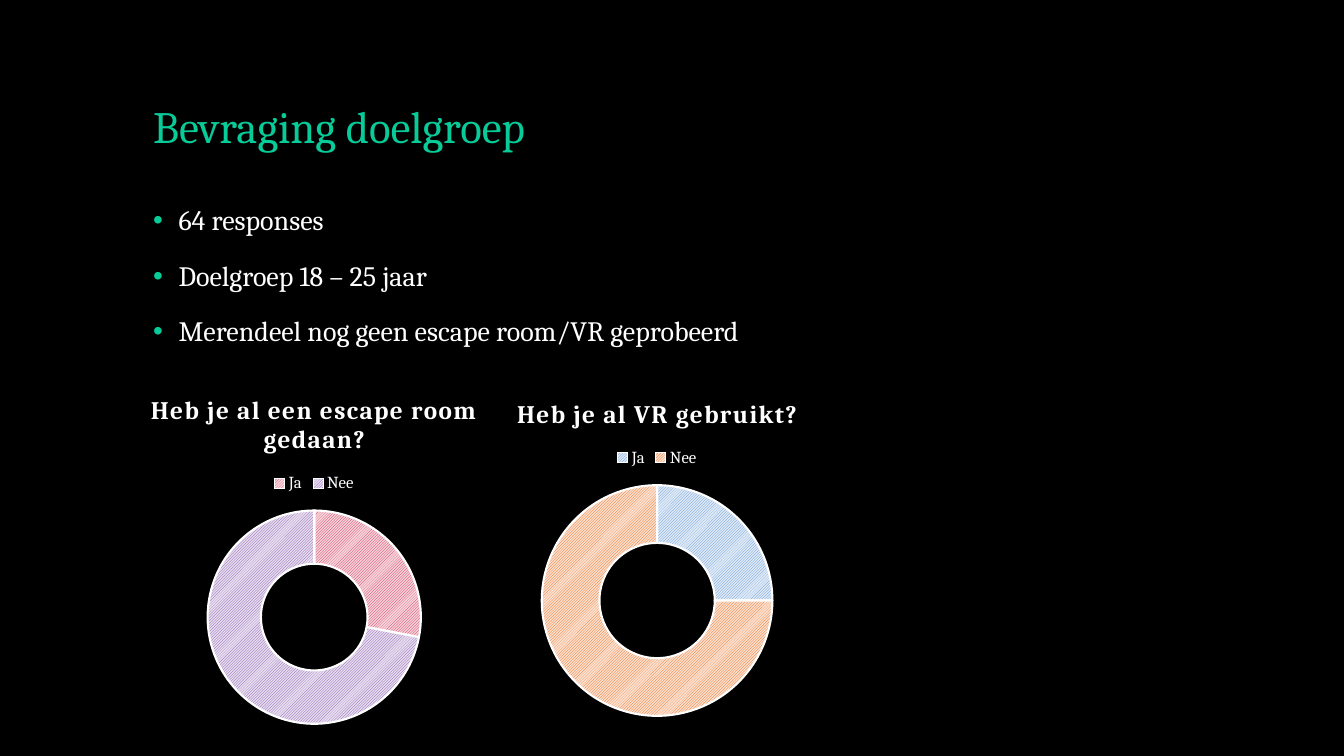
from dataclasses import dataclass

from lxml.etree import SubElement
from pptx import Presentation
from pptx.chart.data import CategoryChartData
from pptx.dml.color import RGBColor
from pptx.enum.chart import XL_CHART_TYPE, XL_LEGEND_POSITION
from pptx.enum.dml import MSO_PATTERN
from pptx.enum.text import MSO_ANCHOR
from pptx.oxml.ns import qn
from pptx.slide import Slide
from pptx.text.text import Font, TextFrame
from pptx.util import Cm, Pt


@dataclass(frozen=True)
class Theme:
    font: str = "Cambria"
    background: str = "000000"
    accent: str = "07CB98"
    text: str = "FFFFFF"
    title_size: float = 32
    body_size: float = 20
    chart_title_size: float = 18
    legend_size: float = 12
    chart_size: float = 10


@dataclass(frozen=True)
class Frame:
    left: float
    top: float
    width: float
    height: float

    def lengths(self) -> tuple[Cm, Cm, Cm, Cm]:
        return Cm(self.left), Cm(self.top), Cm(self.width), Cm(self.height)


@dataclass(frozen=True)
class Answer:
    label: str
    percentage: int
    stripe: str
    ground: str


@dataclass(frozen=True)
class Question:
    title: str
    frame: Frame
    answers: tuple[Answer, ...]


THEME = Theme()
TITLE_FRAME = Frame(3.61, 1.02, 26.67, 2.97)
BODY_FRAME = Frame(3.61, 5.08, 26.67, 12.09)
FINDINGS = (
    "64 responses",
    "Doelgroep 18 – 25 jaar",
    "Merendeel nog geen escape room/VR geprobeerd",
)
QUESTIONS = (
    Question(
        "Heb je al een escape room gedaan?",
        Frame(2.18, 9.47, 11.48, 9.12),
        (Answer("Ja", 28, "CB274A", "F6D2DA"), Answer("Nee", 72, "8253A9", "E6DCEE")),
    ),
    Question(
        "Heb je al VR gebruikt?",
        Frame(11.05, 9.58, 11.02, 8.81),
        (Answer("Ja", 25, "5A90D1", "DEE9F6"), Answer("Nee", 75, "EA6312", "FBE0CF")),
    ),
)


def color(value: str) -> RGBColor:
    return RGBColor.from_string(value)


def style_font(font: Font, size: float, value: str, bold: bool = False) -> None:
    font.name = THEME.font
    font.size = Pt(size)
    font.bold = bold
    font.color.rgb = color(value)


def add_text(slide: Slide, frame: Frame, text: str, size: float, value: str) -> TextFrame:
    text_frame = slide.shapes.add_textbox(*frame.lengths()).text_frame
    text_frame.word_wrap = True
    text_frame.text = text
    for para in text_frame.paragraphs:
        para.line_spacing = 0.9
        for span in para.runs:
            style_font(span.font, size, value)
    return text_frame


def add_bullets(text_frame: TextFrame) -> None:
    for para in text_frame.paragraphs:
        para.space_before = Pt(18)
        properties = para._p.get_or_add_pPr()
        properties.set("marL", str(Cm(0.64)))
        properties.set("indent", str(-Cm(0.64)))
        bullet_color = SubElement(properties, qn("a:buClr"))
        SubElement(bullet_color, qn("a:srgbClr"), val=THEME.accent)
        SubElement(properties, qn("a:buFont"), typeface="Arial")
        SubElement(properties, qn("a:buChar"), char="•")


def add_doughnut(slide: Slide, question: Question) -> None:
    data = CategoryChartData()
    data.categories = [answer.label for answer in question.answers]
    data.add_series("Series 1", [answer.percentage for answer in question.answers])
    chart = slide.shapes.add_chart(
        XL_CHART_TYPE.DOUGHNUT, *question.frame.lengths(), data
    ).chart
    style_font(chart.font, THEME.chart_size, THEME.text)

    chart.has_title = True
    title = chart.chart_title
    title.include_in_layout = False
    title.text_frame.text = question.title
    for span in title.text_frame.paragraphs[0].runs:
        style_font(span.font, THEME.chart_title_size, THEME.text, bold=True)
        span.font._element.set("spc", "100")

    chart.has_legend = True
    chart.legend.position = XL_LEGEND_POSITION.TOP
    chart.legend.include_in_layout = False
    style_font(chart.legend.font, THEME.legend_size, THEME.text)

    plot = chart.plots[0]
    plot.vary_by_categories = True
    plot._element.find(qn("c:holeSize")).set("val", "70")
    for index, answer in enumerate(question.answers):
        point_format = plot.series[0].points[index].format
        point_format.fill.patterned()
        point_format.fill.pattern = MSO_PATTERN.LIGHT_UPWARD_DIAGONAL
        point_format.fill.fore_color.rgb = color(answer.stripe)
        point_format.fill.back_color.rgb = color(answer.ground)
        point_format.line.color.rgb = color(THEME.text)
        point_format.line.width = Pt(1.5)


def main() -> None:
    deck = Presentation()
    deck.slide_width = Cm(33.87)
    deck.slide_height = Cm(19.05)
    page = deck.slides.add_slide(deck.slide_layouts[6])
    page.background.fill.solid()
    page.background.fill.fore_color.rgb = color(THEME.background)

    title = add_text(
        page, TITLE_FRAME, "Bevraging doelgroep", THEME.title_size, THEME.accent
    )
    title.vertical_anchor = MSO_ANCHOR.BOTTOM
    findings = add_text(
        page, BODY_FRAME, "\n".join(FINDINGS), THEME.body_size, THEME.text
    )
    add_bullets(findings)
    for question in QUESTIONS:
        add_doughnut(page, question)
    deck.save("out.pptx")


if __name__ == "__main__":
    main()
